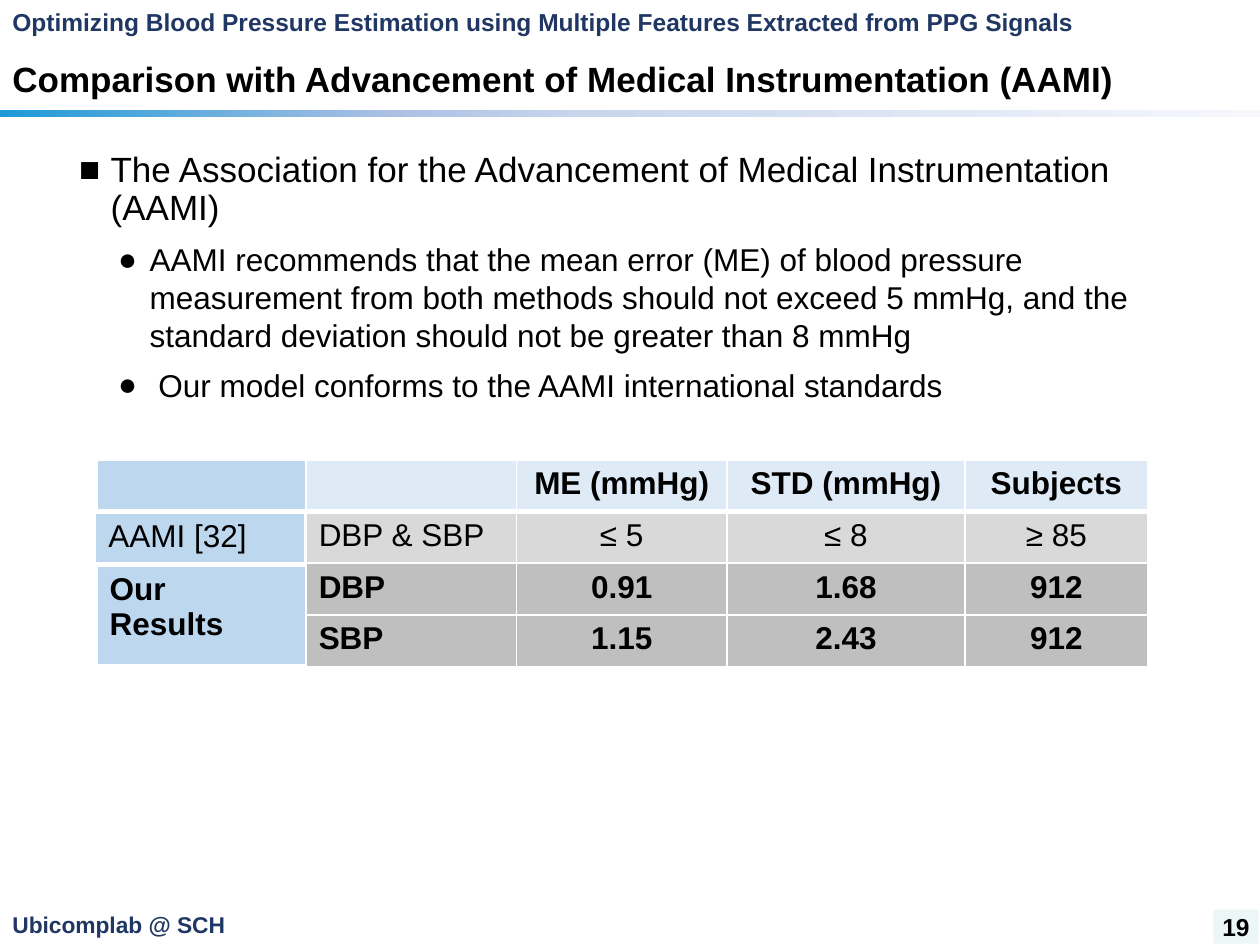
from lxml.etree import SubElement
from pptx import Presentation
from pptx.dml.color import RGBColor
from pptx.enum.shapes import MSO_SHAPE
from pptx.enum.text import MSO_ANCHOR as Anchor, MSO_AUTO_SIZE as AutoSize, PP_ALIGN as Align
from pptx.oxml.ns import qn
from pptx.util import Inches, Pt

WIDTH, HEIGHT = 10, 7.5
COLORS = {"navy": "203764", "black": "000000", "white": "FFFFFF", "number": "EDF6F6",
          "label": "BDD7EE", "header": "DEEBF7", "limit": "D9D9D9", "result": "BFBFBF"}
RULE_STOPS = [(0, "1E9AD7"), (31, "ABC0E4"), (46, "C7D5ED"), (100, "F6F8FC")]

# text, box, size, color
HEADINGS = [
    ("Ubicomplab @ SCH", (0, 7.18, 1.91, 0.32), 13, "navy"),
    ("Comparison with Advancement of Medical Instrumentation (AAMI)",
     (0, 0.35, WIDTH, 0.58), 20, "black"),
    ("Optimizing Blood Pressure Estimation using Multiple Features Extracted from PPG Signals",
     (0, 0, 8.67, 0.34), 14, "navy"),
]
BODY = [
    (0, "The Association for the Advancement of Medical Instrumentation (AAMI)"),
    (1, "AAMI recommends that the mean error (ME) of blood pressure measurement from both "
        "methods should not exceed 5 mmHg, and the standard deviation should not be greater "
        "than 8 mmHg"),
    (1, " Our model conforms to the AAMI international standards"),
]
LEVELS = [
    {"size": 20, "before": 10, "line": 0.9, "left": 0.25, "bullet": "■"},
    {"size": 18, "before": 7, "line": 1.0, "left": 0.56, "bullet": "●"},
]

# fill, bold, cells
RESULTS = [
    ("header", True, ["", "ME (mmHg)", "STD (mmHg)", "Subjects"]),
    ("limit", False, ["DBP & SBP", "≤ 5", "≤ 8", "≥ 85"]),
    ("result", True, ["DBP", "0.91", "1.68", "912"]),
    ("result", True, ["SBP", "1.15", "2.43", "912"]),
]
ROW = 0.41
TABLE_TOP = 3.65
LABEL_WIDTH = 1.66
LABELS = [  # left, top, height, bold, text
    (0.77, TABLE_TOP + 0.84, 0.8, True, "Our\nResults"),
    (0.77, TABLE_TOP, ROW, True, ""),
    (0.76, TABLE_TOP + 0.42, ROW, False, "AAMI [32]"),
]


def rgb(name):
    return RGBColor.from_string(COLORS[name])


def set_font(font, size, color="black", bold=False):
    values = {"name": "Arial", "size": Pt(size), "bold": bold}
    for attribute, value in values.items():
        setattr(font, attribute, value)
    font.color.rgb = rgb(color)


def add_textbox(slide, box, anchor=Anchor.MIDDLE):
    frame = slide.shapes.add_textbox(*map(Inches, box)).text_frame
    values = {"word_wrap": True, "auto_size": AutoSize.NONE, "vertical_anchor": anchor}
    for attribute, value in values.items():
        setattr(frame, attribute, value)
    return frame


def add_rectangle(slide, box):
    shape = slide.shapes.add_shape(MSO_SHAPE.RECTANGLE, *map(Inches, box))
    shape.shadow.inherit = False
    shape.line.fill.background()
    return shape


def add_rule(slide):
    """Draw the fading bar under the title."""
    shape = add_rectangle(slide, (0, 0.87, WIDTH, 0.06))
    shape.fill.gradient()
    shape.fill.gradient_angle = 0
    stops = shape._element.spPr.find(".//" + qn("a:gsLst"))
    stops.clear()
    for percent, color in RULE_STOPS:
        stop = SubElement(stops, qn("a:gs"), pos=str(percent * 1000))
        SubElement(stop, qn("a:srgbClr"), val=color)


def add_body(slide):
    frame = add_textbox(slide, (0.53, 1.16, 8.93, 5.82), Anchor.TOP)
    for index, (level, text) in enumerate(BODY):
        style = LEVELS[level]
        paragraph = frame.paragraphs[0] if index == 0 else frame.add_paragraph()
        values = {"level": level, "space_before": Pt(style["before"]),
                  "line_spacing": style["line"]}
        for attribute, value in values.items():
            setattr(paragraph, attribute, value)
        run = paragraph.add_run()
        run.text = text
        set_font(run.font, style["size"])
        properties = paragraph._p.get_or_add_pPr()
        properties.set("marL", str(Inches(style["left"])))
        properties.set("indent", str(Inches(-0.25)))
        SubElement(properties, qn("a:buFont"), typeface="Arial")
        SubElement(properties, qn("a:buChar"), char=style["bullet"])


def format_cell(cell, text, fill, bold, align=Align.LEFT, bottom=1):
    cell.text = text
    for paragraph in cell.text_frame.paragraphs:
        paragraph.alignment = align
        set_font(paragraph.font, 18, bold=bold)
        for run in paragraph.runs:
            set_font(run.font, 18, bold=bold)
    properties = cell._tc.get_or_add_tcPr()
    for side, width in {"L": 1, "R": 1, "T": 1, "B": bottom}.items():
        line = SubElement(properties, qn("a:ln" + side), w=str(Pt(width)))
        SubElement(SubElement(line, qn("a:solidFill")), qn("a:srgbClr"), val=COLORS["white"])
    cell.fill.solid()
    cell.fill.fore_color.rgb = rgb(fill)


def add_table(slide, left, top, columns, rows):
    box = map(Inches, (left, top, sum(columns), sum(rows)))
    table = slide.shapes.add_table(len(rows), len(columns), *box).table
    for column, width in zip(table.columns, columns):
        column.width = Inches(width)
    for row, height in zip(table.rows, rows):
        row.height = Inches(height)
    return table


def add_tables(slide):
    table = add_table(slide, 2.43, TABLE_TOP, [1.67, 1.67, 1.89, 1.45], [ROW] * len(RESULTS))
    for r, (fill, bold, texts) in enumerate(RESULTS):
        for c, text in enumerate(texts):
            format_cell(table.cell(r, c), text, fill, bold,
                        Align.CENTER if c else Align.LEFT, 1 if r else 3)
    for left, top, height, bold, text in LABELS:
        label = add_table(slide, left, top, [LABEL_WIDTH], [height])
        format_cell(label.cell(0, 0), text, "label", bold, bottom=3)


def add_slide_number(slide):
    shape = add_rectangle(slide, (9.63, 7.22, 0.36, 0.27))
    shape.fill.solid()
    shape.fill.fore_color.rgb = rgb("number")
    frame = shape.text_frame
    values = {"margin_left": 0, "margin_right": 0, "word_wrap": False,
              "vertical_anchor": Anchor.MIDDLE}
    for attribute, value in values.items():
        setattr(frame, attribute, value)
    paragraph = frame.paragraphs[0]
    paragraph.alignment = Align.CENTER
    run = paragraph.add_run()
    run.text = "19"
    set_font(run.font, 14, bold=True)


def main():
    presentation = Presentation()
    presentation.slide_width, presentation.slide_height = Inches(WIDTH), Inches(HEIGHT)
    slide = presentation.slides.add_slide(presentation.slide_layouts[6])
    add_rule(slide)
    for text, box, size, color in HEADINGS:
        paragraph = add_textbox(slide, box).paragraphs[0]
        paragraph.line_spacing = 0.9 if color == "black" else 1.0
        run = paragraph.add_run()
        run.text = text
        set_font(run.font, size, color, bold=True)
    add_slide_number(slide)
    add_body(slide)
    add_tables(slide)
    presentation.save("out.pptx")


if __name__ == "__main__":
    main()
